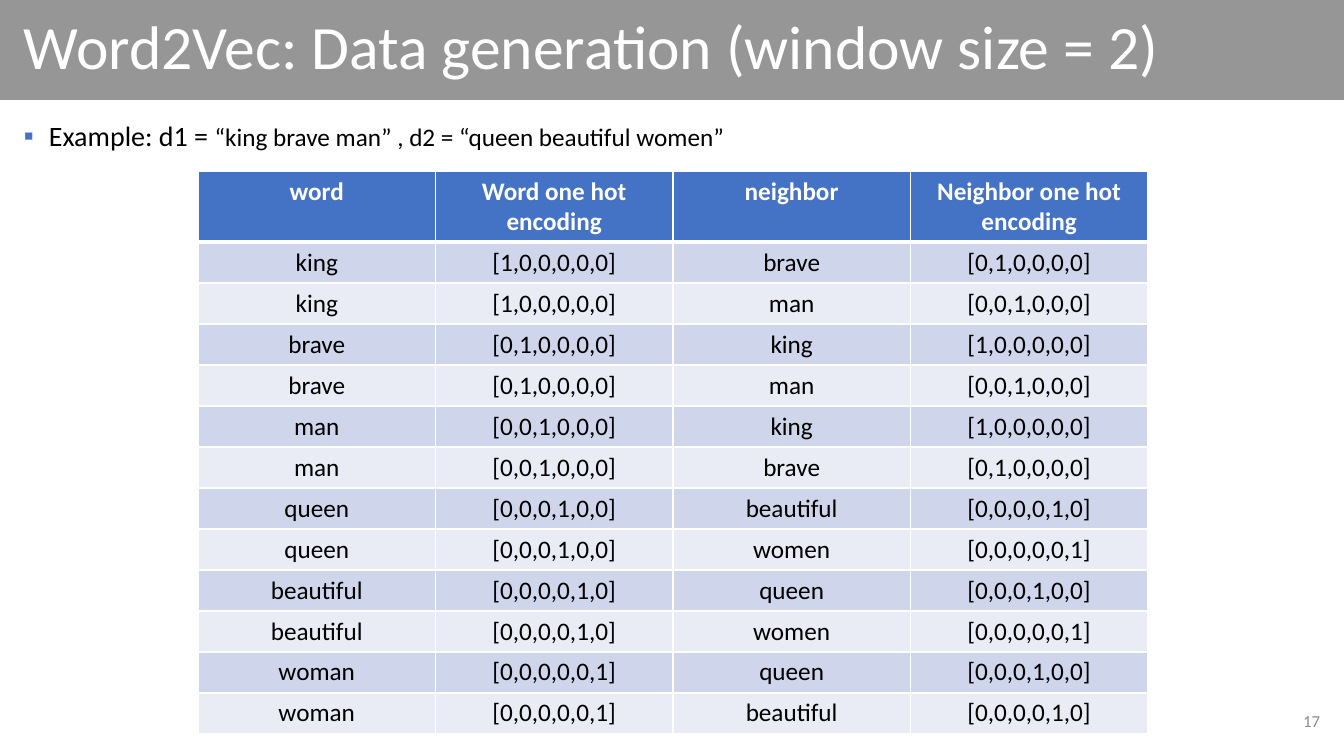
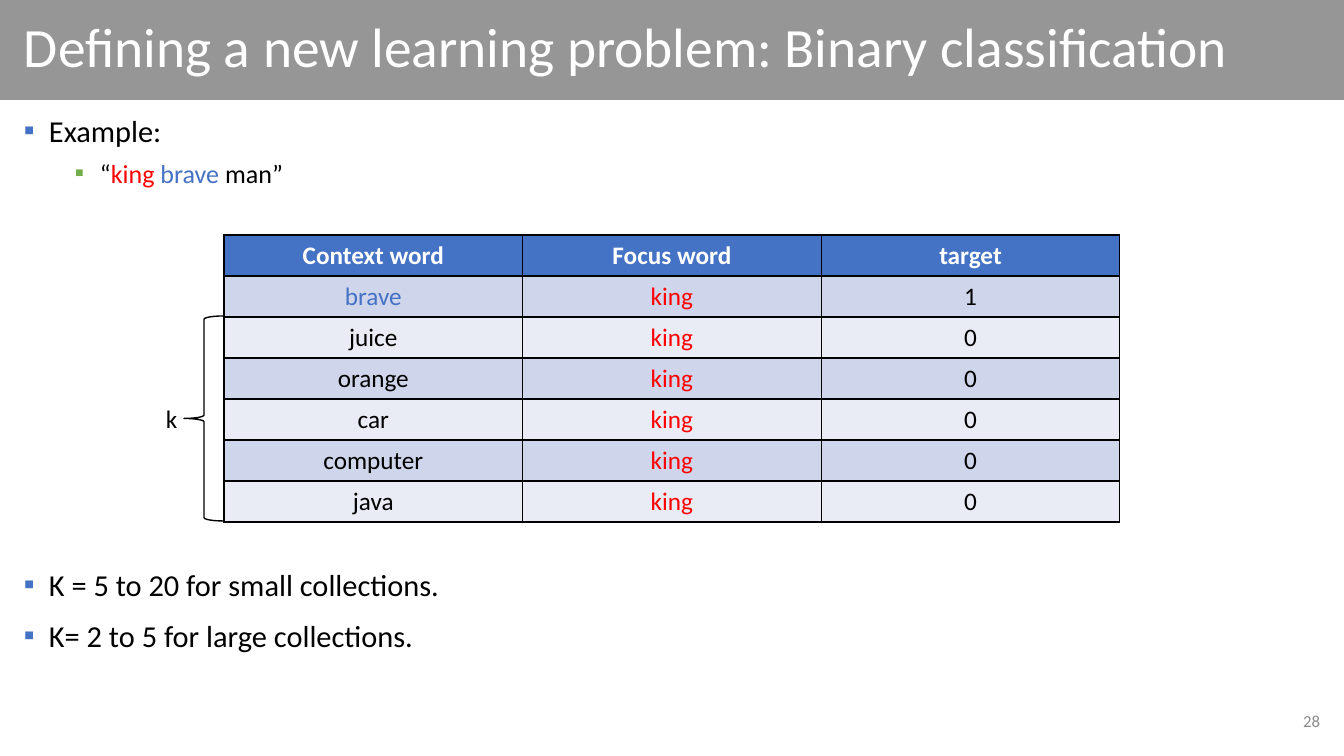
import lxml.etree
import pptx
import pptx.dml.color
import pptx.enum.shapes
import pptx.enum.text
import pptx.oxml.ns
import pptx.util

EMU_PER_PX = 914400 / 100.8
SLIDE_WIDTH, SLIDE_HEIGHT = 1344, 756
FONT = "Calibri"
COLORS = {
    "band": "969696", "white": "FFFFFF", "black": "000000", "number": "8C8C8C",
    "blue": "4472C4", "green": "70AD47", "red": "FF0000",
    "odd_row": "CFD5EA", "even_row": "E9EBF5",
}
ALIGN = pptx.enum.text.PP_ALIGN
ANCHOR = pptx.enum.text.MSO_ANCHOR
SHAPE = pptx.enum.shapes.MSO_SHAPE

# Left, top, width, height in px
BAND_BOX = (0, -1, SLIDE_WIDTH, 101)
TITLE_BOX = (14, 3, 1316, 93)
NUMBER_BOX = (1028, 701, 302, 40)
ROW_HEIGHT = 41

# Left indent in px, bullet colour and space before in points, by level
BULLET_LEVELS = [(25, "blue", 10), (76, "green", 5)]
HANGING = 25

WORD_INDEX = {"king": 0, "brave": 1, "man": 2, "queen": 3, "beautiful": 4,
              "woman": 5, "women": 5}
NEIGHBORS = [
    ("king", ["brave", "man"]),
    ("brave", ["king", "man"]),
    ("man", ["king", "brave"]),
    ("queen", ["beautiful", "women"]),
    ("beautiful", ["queen", "women"]),
    ("woman", ["queen", "beautiful"]),
]
NEGATIVE_WORDS = ["juice", "orange", "car", "computer", "java"]


def px(length):
    return pptx.util.Emu(round(length * EMU_PER_PX))


def box_emu(box):
    return [px(length) for length in box]


def rgb(color):
    return pptx.dml.color.RGBColor.from_string(COLORS[color])


def add_element(parent, tag, **attributes):
    return lxml.etree.SubElement(parent, pptx.oxml.ns.qn(tag), **attributes)


def add_run(paragraph, text, size, color="black", bold=False):
    run = paragraph.add_run()
    run.text = text
    run.font.name = FONT
    run.font.size = pptx.util.Pt(size)
    run.font.bold = bold
    run.font.color.rgb = rgb(color)


def add_text_frame(slide, box, anchor=ANCHOR.TOP, wrap=True):
    frame = slide.shapes.add_textbox(*box_emu(box)).text_frame
    frame.word_wrap = wrap
    frame.vertical_anchor = anchor
    return frame


def add_shape(slide, kind, box):
    shape = slide.shapes.add_shape(kind, *box_emu(box))
    shape.shadow.inherit = False
    return shape


def add_base_slide(presentation, title, title_size, number):
    """Add a slide with the title band and the slide number."""
    slide = presentation.slides.add_slide(presentation.slide_layouts[6])
    band = add_shape(slide, SHAPE.RECTANGLE, BAND_BOX)
    band.fill.solid()
    band.fill.fore_color.rgb = rgb("band")
    band.line.fill.background()

    paragraph = add_text_frame(slide, TITLE_BOX, ANCHOR.MIDDLE).paragraphs[0]
    paragraph.line_spacing = 0.9
    add_run(paragraph, title, title_size, "white")

    paragraph = add_text_frame(slide, NUMBER_BOX, ANCHOR.MIDDLE).paragraphs[0]
    paragraph.alignment = ALIGN.RIGHT
    add_run(paragraph, str(number), 12, "number")
    return slide


def add_bullets(slide, box, items, line_spacing=1.0):
    """Add bullets, each given as a level and a list of add_run arguments."""
    frame = add_text_frame(slide, box)
    for index, (level, runs) in enumerate(items):
        paragraph = frame.add_paragraph() if index else frame.paragraphs[0]
        indent, bullet_color, space_before = BULLET_LEVELS[level]
        paragraph.level = level
        paragraph.line_spacing = line_spacing
        paragraph.space_before = pptx.util.Pt(space_before if index else 0)
        paragraph.space_after = pptx.util.Pt(6)
        properties = paragraph._p.get_or_add_pPr()
        properties.set("marL", str(px(indent)))
        properties.set("indent", str(px(-HANGING)))
        color = add_element(properties, "a:buClr")
        add_element(color, "a:srgbClr", val=COLORS[bullet_color])
        add_element(properties, "a:buFont", typeface=FONT)
        add_element(properties, "a:buChar", char="▪")
        for run in runs:
            add_run(paragraph, *run)


def set_borders(cell, color, top=1, bottom=1):
    properties = cell._tc.get_or_add_tcPr()
    widths = {"a:lnL": 1, "a:lnR": 1, "a:lnT": top, "a:lnB": bottom}
    for tag, width in widths.items():
        line = add_element(properties, tag, w=str(pptx.util.Pt(width)))
        fill = add_element(line, "a:solidFill")
        add_element(fill, "a:srgbClr", val=COLORS[color])


def add_word_table(slide, box, rows, border, header_line=1, word_colors=None):
    """Add a banded table; the header takes the height the body rows leave."""
    word_colors = word_colors or {}
    height = box[3]
    table = slide.shapes.add_table(len(rows), len(rows[0]), *box_emu(box)).table
    table.first_row = table.horz_banding = False
    for row_index, texts in enumerate(rows):
        is_header = row_index == 0
        table.rows[row_index].height = px(
            height - ROW_HEIGHT * (len(rows) - 1) if is_header else ROW_HEIGHT)
        fill = "blue" if is_header else "odd_row" if row_index % 2 else "even_row"
        for column_index, text in enumerate(texts):
            cell = table.cell(row_index, column_index)
            set_borders(cell, border,
                        top=header_line if row_index == 1 else 1,
                        bottom=header_line if is_header else 1)
            cell.fill.solid()
            cell.fill.fore_color.rgb = rgb(fill)
            paragraph = cell.text_frame.paragraphs[0]
            paragraph.alignment = ALIGN.CENTER
            color = "white" if is_header else word_colors.get(text, "black")
            add_run(paragraph, text, 18, color, is_header)


def add_brace(slide, box, label):
    """Add a left brace with its label to the left of its tip."""
    left, top, _, height = box
    brace = add_shape(slide, SHAPE.LEFT_BRACE, box)
    brace.fill.background()
    brace.line.color.rgb = rgb("black")
    brace.line.width = pptx.util.Pt(1)
    label_box = (left - 28, top + height // 2 - 20, 32, 40)
    frame = add_text_frame(slide, label_box, wrap=False)
    add_run(frame.paragraphs[0], label, 18)


def one_hot(word):
    digits = ["0"] * 6
    digits[WORD_INDEX[word]] = "1"
    return f"[{','.join(digits)}]"


def build_data_generation(presentation):
    slide = add_base_slide(
        presentation, "Word2Vec: Data generation (window size = 2)", 44, 17)
    add_bullets(slide, (14, 114, 1316, 50), [
        (0, [("Example: d1 = ", 20),
             ("“king brave man” , d2 = “queen beautiful women”", 18)]),
    ])
    rows = [("word", "Word one hot encoding", "neighbor", "Neighbor one hot encoding")]
    rows += [(word, one_hot(word), neighbor, one_hot(neighbor))
             for word, neighbors in NEIGHBORS for neighbor in neighbors]
    add_word_table(slide, (198, 171, 950, 563), rows, "white", header_line=3)


def build_binary_classification(presentation):
    slide = add_base_slide(
        presentation, "Defining a new learning problem: Binary classification", 39.6, 28)
    add_bullets(slide, (14, 114, 1316, 90), [
        (0, [("Example:", 21.7)]),
        (1, [("“", 18.6), ("king ", 18.6, "red"), ("brave", 18.6, "blue"),
             (" man”", 18.6)]),
    ], line_spacing=0.8)

    rows = [("Context word", "Focus word", "target"), ("brave", "king", "1")]
    rows += [(word, "king", "0") for word in NEGATIVE_WORDS]
    left, top = 224, 235
    add_word_table(slide, (left, top, 896, ROW_HEIGHT * len(rows)), rows, "black",
                   word_colors={"brave": "blue", "king": "red"})
    brace_height = ROW_HEIGHT * len(NEGATIVE_WORDS)
    add_brace(slide, (left - 40, top + 2 * ROW_HEIGHT - 1, 40, brace_height), "k")

    add_bullets(slide, (14, 568, 1316, 100), [
        (0, [("K = 5 to 20 for small collections.", 21.7)]),
        (0, [("K= 2 to 5 for large collections.", 21.7)]),
    ], line_spacing=0.8)


def main():
    presentation = pptx.Presentation()
    presentation.slide_width = px(SLIDE_WIDTH)
    presentation.slide_height = px(SLIDE_HEIGHT)
    build_data_generation(presentation)
    build_binary_classification(presentation)
    presentation.save("out.pptx")


if __name__ == "__main__":
    main()
